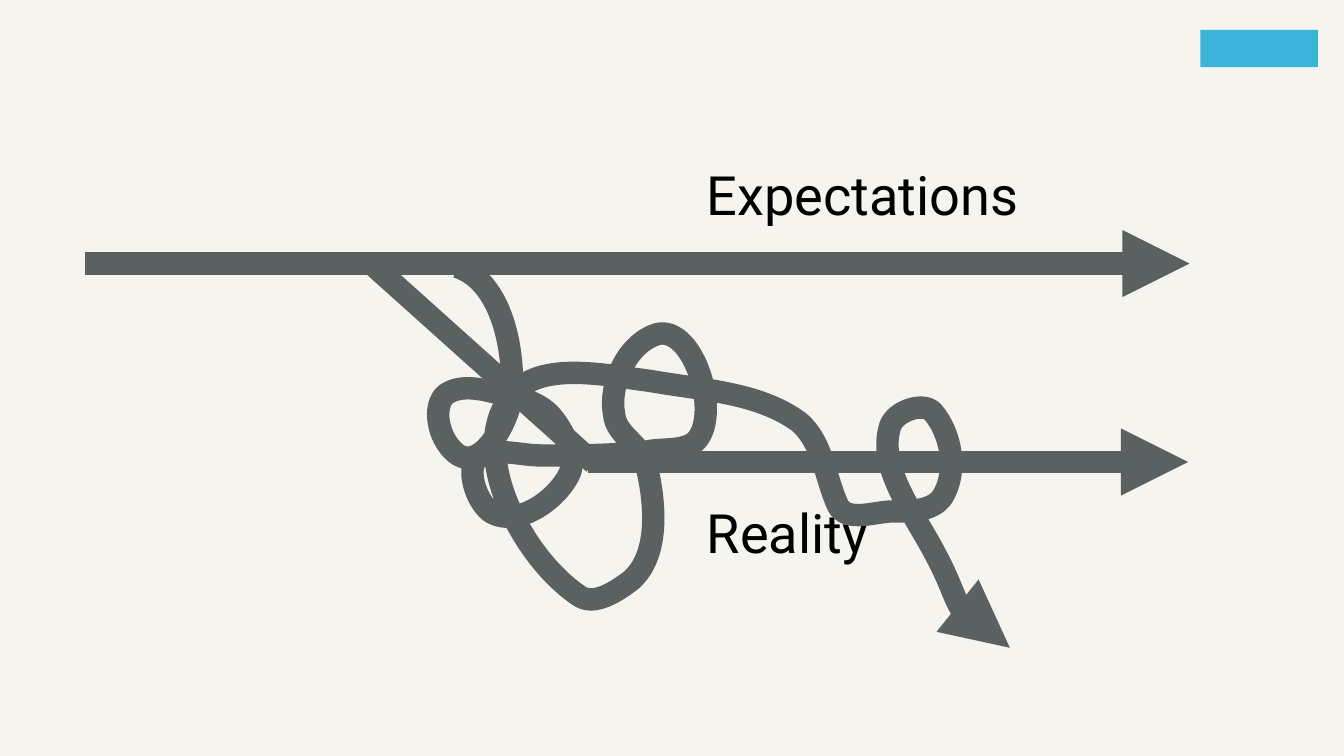
from typing import NamedTuple

from pptx import Presentation
from pptx.dml.color import RGBColor
from pptx.dml.line import LineFormat
from pptx.enum.shapes import MSO_CONNECTOR as Connector, MSO_SHAPE as Preset
from pptx.enum.text import MSO_AUTO_SIZE as AutoSize
from pptx.oxml.ns import qn
from pptx.slide import Slide
from pptx.util import Pt
from lxml.etree import SubElement

PAPER = RGBColor(0xF5, 0xF4, 0xEF)
SLATE = RGBColor(0x5B, 0x60, 0x60)
SKY = RGBColor(0x3C, 0xB4, 0xD9)
BLACK = RGBColor(0, 0, 0)
STROKE = 12


class Point(NamedTuple):
    x: float
    y: float


class Box(NamedTuple):
    left: float
    top: float
    width: float
    height: float


class Route(NamedTuple):
    start: Point
    end: Point
    arrow: bool


class Label(NamedTuple):
    text: str
    top: float


ROUTES = [
    Route(Point(45.5, 141.2), Point(637.2, 141.2), True),
    Route(Point(314.8, 247.5), Point(636.5, 247.5), True),
    Route(Point(318.2, 248.2), Point(198.9, 141.2), False),
]
LABELS = [Label("Expectations", 79.2), Label("Reality", 260.6)]
BRAND_BLOCK = Box(643, 16, 63, 20)

TANGLE_BOX = Box(235, 143, 306, 204)
TANGLE_START = (245, 143)
# Each row is one Bézier curve: two control points and the end point.
TANGLE_CURVES = [
    ((269, 151), (276, 188), (274, 213)),
    ((272, 227), (258, 251), (246, 244)),
    ((236, 238), (231, 220), (238, 212)),
    ((245, 206), (256, 208), (264, 210)),
    ((276, 212), (290, 215), (297, 225)),
    ((303, 233), (309, 245), (305, 254)),
    ((298, 268), (278, 282), (264, 275)),
    ((255, 270), (248, 248), (258, 244)),
    ((268, 240), (279, 244), (290, 244)),
    ((309, 244), (328, 244), (346, 242)),
    ((355, 240), (365, 242), (372, 237)),
    ((387, 224), (372, 174), (352, 179)),
    ((336, 184), (326, 206), (329, 222)),
    ((330, 233), (343, 238), (346, 248)),
    ((351, 268), (354, 297), (338, 311)),
    ((330, 317), (318, 325), (310, 319)),
    ((279, 298), (250, 241), (274, 212)),
    ((289, 193), (324, 201), (348, 204)),
    ((376, 209), (406, 210), (428, 226)),
    ((441, 237), (442, 256), (449, 271)),
    ((454, 280), (469, 274), (478, 274)),
    ((487, 274), (500, 274), (505, 266)),
    ((513, 253), (510, 233), (500, 221)),
    ((495, 215), (480, 220), (477, 228)),
    ((470, 249), (488, 273), (499, 293)),
    ((510, 313), (518, 347), (541, 347)),
]


def style_line(line: LineFormat, arrow: bool) -> None:
    line.color.rgb = SLATE
    line.width = Pt(STROKE)
    if arrow:
        SubElement(line._get_or_add_ln(), qn("a:tailEnd"), type="triangle")


def draw_route(slide: Slide, route: Route) -> None:
    connector = slide.shapes.add_connector(
        Connector.STRAIGHT, *map(Pt, route.start), *map(Pt, route.end))
    style_line(connector.line, route.arrow)
    SubElement(connector._element.spPr, qn("a:effectLst"))


def draw_curves(slide: Slide, box: Box, start: tuple, curves: list[tuple]) -> None:
    """Draw an open outline of Bézier curves whose extent is the box."""
    builder = slide.shapes.build_freeform(Pt(box.left), Pt(box.top), scale=1.0)
    corner = (Pt(box.left + box.width), Pt(box.top + box.height))
    builder.add_line_segments([corner], close=False)
    shape = builder.convert_to_shape()
    outline = next(shape._element.iter(qn("a:path")))
    for segment in list(outline):
        outline.remove(segment)
    steps = [("a:moveTo", (start,))] + [("a:cubicBezTo", curve) for curve in curves]
    for tag, points in steps:
        segment = SubElement(outline, qn(tag))
        for x, y in points:
            SubElement(segment, qn("a:pt"), x=str(int(Pt(x - box.left))),
                       y=str(int(Pt(y - box.top))))
    shape.shadow.inherit = False
    shape.fill.background()
    style_line(shape.line, arrow=True)


def draw_block(slide: Slide, box: Box, color: RGBColor) -> None:
    shape = slide.shapes.add_shape(Preset.RECTANGLE, *map(Pt, box))
    shape.shadow.inherit = False
    shape.fill.solid()
    shape.fill.fore_color.rgb = color
    shape.line.fill.background()


def add_text(slide: Slide, text: str, *, box: Box, size: float,
             font: str = "Roboto", color: RGBColor = BLACK) -> None:
    frame = slide.shapes.add_textbox(*map(Pt, box)).text_frame
    frame.word_wrap = True
    frame.auto_size = AutoSize.SHAPE_TO_FIT_TEXT
    frame.margin_left = frame.margin_right = Pt(7.2)
    frame.margin_top = frame.margin_bottom = Pt(7.2)
    run = frame.paragraphs[0].add_run()
    run.text = text
    run.font.name = font
    run.font.size = Pt(size)
    run.font.color.rgb = color


def main() -> None:
    presentation = Presentation()
    presentation.slide_width, presentation.slide_height = Pt(720), Pt(405)
    slide = presentation.slides.add_slide(presentation.slide_layouts[6])
    slide.background.fill.solid()
    slide.background.fill.fore_color.rgb = PAPER

    draw_block(slide, BRAND_BLOCK, SKY)
    for route in ROUTES:
        draw_route(slide, route)
    for label in LABELS:
        add_text(slide, label.text, box=Box(371.5, label.top, 277.2, 49.7), size=29)
    draw_curves(slide, TANGLE_BOX, TANGLE_START, TANGLE_CURVES)
    presentation.save("out.pptx")


if __name__ == "__main__":
    main()
